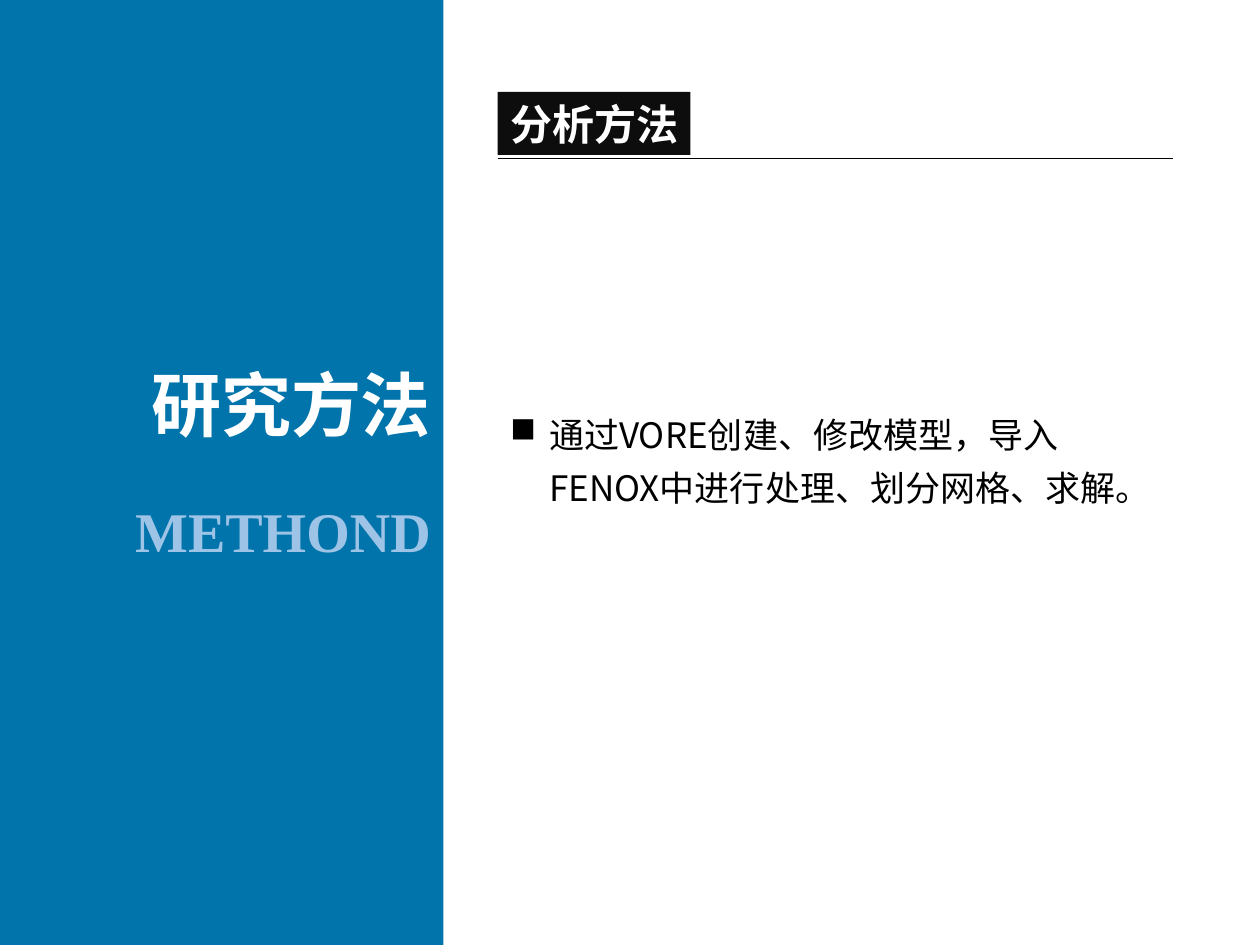
from dataclasses import dataclass

from lxml.etree import SubElement
from pptx import Presentation
from pptx.dml.color import RGBColor as Rgb
from pptx.enum.shapes import MSO_CONNECTOR as Link, MSO_SHAPE as Kind
from pptx.enum.text import MSO_ANCHOR as Anchor, PP_ALIGN as Align
from pptx.oxml.ns import qn
from pptx.util import Inches, Pt


@dataclass(frozen=True)
class Theme:
    blue: str = "0174AB"
    pale: str = "9DC3E6"
    dark: str = "0D0D0D"
    black: str = "000000"
    white: str = "FFFFFF"
    sans: str = "Noto Sans CJK SC"
    serif: str = "Times New Roman"
    title: int = 40
    sub: int = 32
    head: int = 24
    body: int = 20
    lead: int = 30
    rule: float = 0.5
    hang: float = 0.31


class Deck:
    """Draws styled elements on one slide, placed on a grid of one-inch cells."""

    def __init__(self, theme, cols=10, rows=7.5):
        self.theme = theme
        self.file = Presentation()
        self.file.slide_width = Inches(cols)
        self.file.slide_height = Inches(rows)
        self.slide = self.file.slides.add_slide(self.file.slide_layouts[5])
        self.shapes = self.slide.shapes

    def text(self, shape, words, size, color, font, bold=True, align=Align.LEFT, wrap=True):
        frame = shape.text_frame
        frame.text = words
        frame.word_wrap = wrap
        para = frame.paragraphs[0]
        para.alignment = align
        style = para.font
        style.size, style.bold, style.name = Pt(size), bold, font
        style.color.rgb = Rgb.from_string(color)
        for run in para.runs:
            props = run._r.get_or_add_rPr()
            props.set("lang", "zh-CN")
            SubElement(props, qn("a:ea"), typeface=font)
        return para

    def title(self, words, *cell):
        shape = self.shapes.title
        shape.left, shape.top, shape.width, shape.height = map(Inches, cell)
        self.shapes._spTree.append(shape._element)
        look = self.theme
        self.text(shape, words, look.title, look.white, look.sans, align=Align.RIGHT)
        shape.text_frame.vertical_anchor = Anchor.MIDDLE

    def panel(self, color, *cell):
        shape = self.shapes.add_shape(Kind.RECTANGLE, *map(Inches, cell))
        shape.shadow.inherit = False
        shape.fill.solid()
        shape.fill.fore_color.rgb = Rgb.from_string(color)
        shape.line.fill.background()
        return shape

    def label(self, words, *cell):
        look = self.theme
        shape = self.panel(look.dark, *cell)
        self.text(shape, words, look.head, look.white, look.sans, wrap=False)
        shape.text_frame.vertical_anchor = Anchor.MIDDLE

    def sub(self, words, *cell):
        look = self.theme
        box = self.shapes.add_textbox(*map(Inches, cell))
        self.text(box, words, look.sub, look.pale, look.serif, align=Align.RIGHT)

    def rule(self, left, right, row):
        ends = map(Inches, (left, row, right, row))
        line = self.shapes.add_connector(Link.STRAIGHT, *ends)
        line.line.color.rgb = Rgb.from_string(self.theme.black)
        line.line.width = Pt(self.theme.rule)
        SubElement(line._element.spPr, qn("a:effectLst"))

    def bullet(self, words, *cell):
        look = self.theme
        box = self.shapes.add_textbox(*map(Inches, cell))
        para = self.text(box, words, look.body, look.black, look.sans, bold=False)
        para.line_spacing = Pt(look.lead)
        props = para._p.get_or_add_pPr()
        props.set("marL", str(Inches(look.hang)))
        props.set("indent", str(-Inches(look.hang)))
        mark = props.makeelement(qn("a:buChar"), {"char": "■"})
        props.insert_element_before(mark, "a:tabLst", "a:defRPr", "a:extLst")

    def save(self):
        self.file.save("out.pptx")


def main():
    deck = Deck(Theme())
    side, edge = 3.52, 3.95
    deck.panel(deck.theme.blue, 0, 0, side, 7.5)
    deck.title("研究方法", 0.98, 2.82, side - 0.98, 0.77)
    deck.sub("METHOND", 0, 3.89, side, 0.64)
    deck.label("分析方法", edge, 0.73, 1.53, 0.5)
    deck.rule(edge, 9.31, 1.26)
    deck.bullet("通过VORE创建、修改模型，导入FENOX中进行处理、划分网格、求解。", edge, 3.15, 5.3, 0.94)
    deck.save()


if __name__ == "__main__":
    main()
